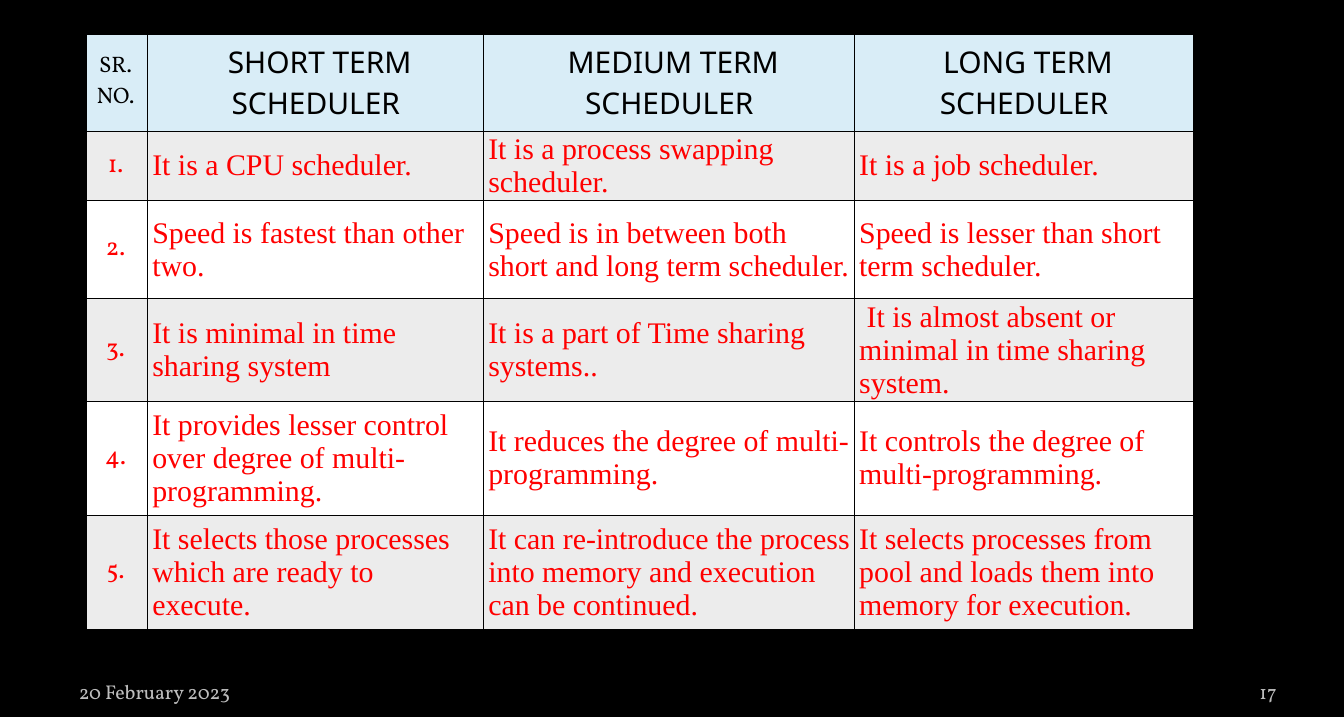
from lxml import etree
from pptx import Presentation
from pptx import util as u
from pptx.dml.color import RGBColor
from pptx.enum import text
from pptx.oxml import ns

PX = 9144
COLORS = {
    "background": "000000",
    "border": "000000",
    "heading": "000000",
    "body": "FF0000",
    "footer": "BDBDBD",
    "header_fill": "D9EDF7",
    "odd_fill": "ECECEC",
    "even_fill": "FFFFFF",
}
HEADINGS = ["SR. NO.", " SHORT TERM SCHEDULER", " MEDIUM TERM SCHEDULER", " LONG TERM SCHEDULER"]
COMPARISONS = [
    ["It is a CPU scheduler.",
     "It is a process swapping scheduler.",
     "It is a job scheduler."],
    ["Speed is fastest than other two.",
     "Speed is in between both short and long term scheduler.",
     "Speed is lesser than short term scheduler."],
    ["It is minimal in time sharing system",
     "It is a part of Time sharing systems..",
     " It is almost absent or minimal in time sharing system."],
    ["It provides lesser control over degree of multi-programming.",
     "It reduces the degree of multi-programming.",
     "It controls the degree of multi-programming."],
    ["It selects those processes which are ready to execute.",
     "It can re-introduce the process into memory and execution can be continued.",
     "It selects processes from pool and loads them into memory for execution."],
]
COLUMN_WIDTHS = [69, 375, 414, 378]
ROW_HEIGHTS = [108, 78, 109, 115, 127, 127]


class SlideBuilder:
    serif = "Vollkorn"
    sans = "Noto Sans"
    body = "Times New Roman"

    def __init__(self, slide):
        self.slide = slide

    def color(self, name):
        return RGBColor.from_string(COLORS[name])

    def background(self, color):
        fill = self.slide.background.fill
        fill.solid()
        fill.fore_color.rgb = self.color(color)

    def set_text(self, frame, wording, font, size, color, align):
        paragraph = frame.paragraphs[0]
        paragraph.text = wording
        paragraph.alignment = align
        paragraph.font.name = font
        paragraph.font.size = u.Pt(size)
        paragraph.font.color.rgb = self.color(color)

    def label(self, left, top, width, height, wording, align, inset):
        box = self.slide.shapes.add_textbox(*(n * PX for n in (left, top, width, height)))
        frame = box.text_frame
        frame.word_wrap = True
        frame.vertical_anchor = text.MSO_ANCHOR.BOTTOM
        frame.margin_left = frame.margin_right = inset * PX
        frame.margin_top = frame.margin_bottom = 7 * PX
        self.set_text(frame, wording, self.serif, 16, "footer", align)

    def borders(self, cell):
        properties = cell._tc.get_or_add_tcPr()
        for side in ("lnL", "lnR", "lnT", "lnB"):
            line = etree.SubElement(properties, ns.qn(f"a:{side}"), w=str(u.Pt(0.6)))
            fill = etree.SubElement(line, ns.qn("a:solidFill"))
            etree.SubElement(fill, ns.qn("a:srgbClr"), val=COLORS["border"])

    def cell(self, cell, wording, row, column):
        cell.vertical_anchor = text.MSO_ANCHOR.MIDDLE
        cell.margin_left = (5 if column else 2) * PX
        cell.margin_right = 5 * PX
        cell.margin_top = cell.margin_bottom = 2 * PX
        self.borders(cell)
        cell.fill.solid()
        band = "odd_fill" if row % 2 else "even_fill"
        cell.fill.fore_color.rgb = self.color(band if row else "header_fill")
        if column:
            font, size = (self.body if row else self.sans), 24
        else:
            font, size = self.serif, (20 if row else 18)
        align = text.PP_ALIGN.LEFT if row and column else text.PP_ALIGN.CENTER
        self.set_text(cell.text_frame, wording, font, size, "body" if row else "heading", align)

    def table(self, left, top, widths, heights, rows):
        frame = self.slide.shapes.add_table(
            len(rows), len(widths), left * PX, top * PX, sum(widths) * PX, sum(heights) * PX)
        table = frame.table
        table.first_row = table.horz_banding = False
        for column, width in zip(table.columns, widths):
            column.width = width * PX
        for row, height in zip(table.rows, heights):
            row.height = height * PX
        for r, row in enumerate(rows):
            for c, wording in enumerate(row):
                self.cell(table.cell(r, c), wording, r, c)


def main():
    presentation = Presentation()
    presentation.slide_width = 1500 * PX
    presentation.slide_height = 800 * PX
    builder = SlideBuilder(presentation.slides.add_slide(presentation.slide_layouts[6]))
    builder.background("background")
    rows = [HEADINGS] + [[f"{n}.", *row] for n, row in enumerate(COMPARISONS, 1)]
    builder.table(96, 38, COLUMN_WIDTHS, ROW_HEIGHTS, rows)
    builder.label(75, 749, 350, 43, "20 February 2023", text.PP_ALIGN.LEFT, 13)
    builder.label(1300, 749, 125, 43, "17", text.PP_ALIGN.RIGHT, 0)
    presentation.save("out.pptx")


if __name__ == "__main__":
    main()
